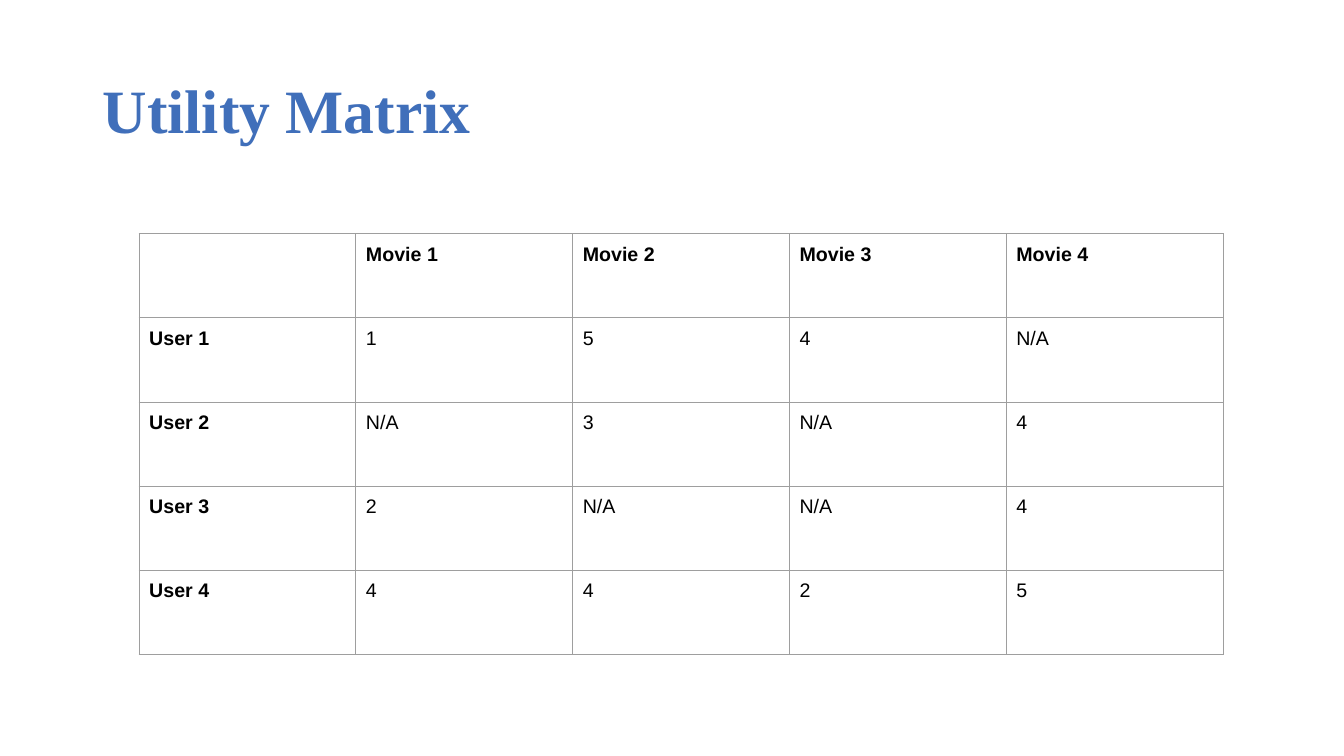
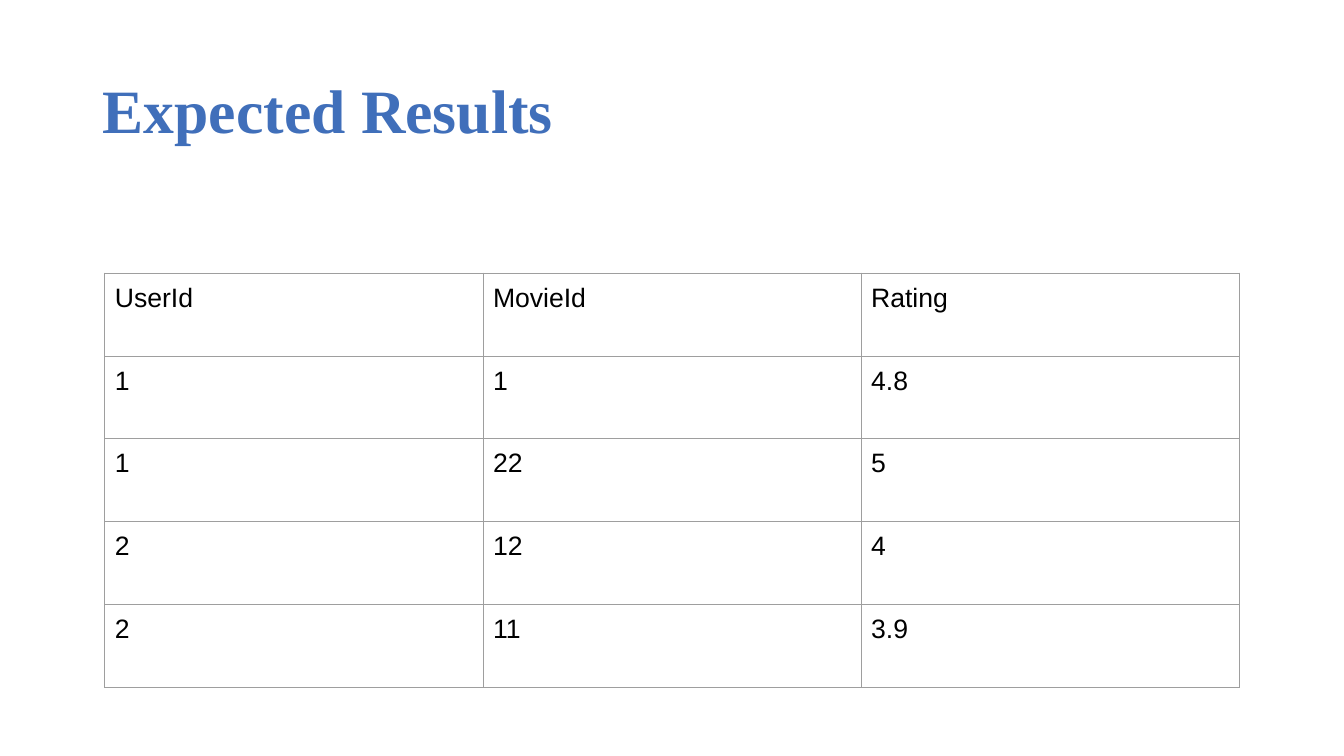
"""Build two slides that show a ratings matrix and the expected predictions."""
import lxml.etree
import pptx
import pptx.dml.color
import pptx.enum.text
import pptx.oxml.ns
import pptx.util

EMU_PER_PX = 9144
TITLE_BLUE = pptx.dml.color.RGBColor(0x40, 0x6F, 0xBA)
TEXT_BLACK = pptx.dml.color.RGBColor(0x00, 0x00, 0x00)
BORDER_GRAY = pptx.dml.color.RGBColor(0x9E, 0x9E, 0x9E)
TITLE_FONT = "Times New Roman"
TABLE_FONT = "Arial"
TITLE_ONLY_LAYOUT = 5

UTILITY_MATRIX = [
    ["", "Movie 1", "Movie 2", "Movie 3", "Movie 4"],
    ["User 1", "1", "5", "4", "N/A"],
    ["User 2", "N/A", "3", "N/A", "4"],
    ["User 3", "2", "N/A", "N/A", "4"],
    ["User 4", "4", "4", "2", "5"],
]
EXPECTED_RESULTS = [
    ["UserId", "MovieId", "Rating"],
    ["1", "1", "4.8"],
    ["1", "22", "5"],
    ["2", "12", "4"],
    ["2", "11", "3.9"],
]


def px(length):
    return pptx.util.Emu(length * EMU_PER_PX)


def format_runs(paragraph, font_name, size, color, bold):
    for run in paragraph.runs:
        run.font.name = font_name
        run.font.size = pptx.util.Pt(size)
        run.font.color.rgb = color
        run.font.bold = bold


def add_titled_slide(presentation, text):
    slide = presentation.slides.add_slide(presentation.slide_layouts[TITLE_ONLY_LAYOUT])
    title = slide.shapes.title
    title.left, title.top, title.width, title.height = px(92), px(40), px(1150), px(145)
    title.text_frame.text = text
    title.text_frame.vertical_anchor = pptx.enum.text.MSO_ANCHOR.MIDDLE
    paragraph = title.text_frame.paragraphs[0]
    paragraph.alignment = pptx.enum.text.PP_ALIGN.LEFT
    paragraph.line_spacing = 0.9
    format_runs(paragraph, TITLE_FONT, 44, TITLE_BLUE, True)
    return slide


def add_cell_borders(cell):
    properties = cell._tc.get_or_add_tcPr()
    for side in ("lnL", "lnR", "lnT", "lnB"):
        line = lxml.etree.SubElement(properties, pptx.oxml.ns.qn(f"a:{side}"))
        line.set("w", str(pptx.util.Pt(0.75)))
        fill = lxml.etree.SubElement(line, pptx.oxml.ns.qn("a:solidFill"))
        color = lxml.etree.SubElement(fill, pptx.oxml.ns.qn("a:srgbClr"))
        color.set("val", str(BORDER_GRAY))


def fill_cell(cell, text, size, bold):
    add_cell_borders(cell)
    cell.fill.background()
    cell.margin_left = cell.margin_right = cell.margin_top = cell.margin_bottom = px(10)
    cell.text_frame.text = text
    format_runs(cell.text_frame.paragraphs[0], TABLE_FONT, size, TEXT_BLACK, bold)


def add_grid(slide, rows, left, top, width, height, size, bold_headers):
    frame = slide.shapes.add_table(
        len(rows), len(rows[0]), px(left), px(top), px(width), px(height)
    )
    table = frame.table
    table.first_row = False
    table.horz_banding = False
    for row_index, row in enumerate(rows):
        for column_index, text in enumerate(row):
            is_header = row_index == 0 or column_index == 0
            cell = table.cell(row_index, column_index)
            fill_cell(cell, text, size, bold_headers and is_header)


def main():
    presentation = pptx.Presentation()
    presentation.slide_width = px(1333)
    presentation.slide_height = px(750)

    slide = add_titled_slide(presentation, "Utility Matrix")
    add_grid(slide, UTILITY_MATRIX, 138, 232, 1075, 417, 14, True)

    slide = add_titled_slide(presentation, "Expected Results")
    add_grid(slide, EXPECTED_RESULTS, 104, 271, 1125, 411, 19, False)

    presentation.save("out.pptx")


if __name__ == "__main__":
    main()
